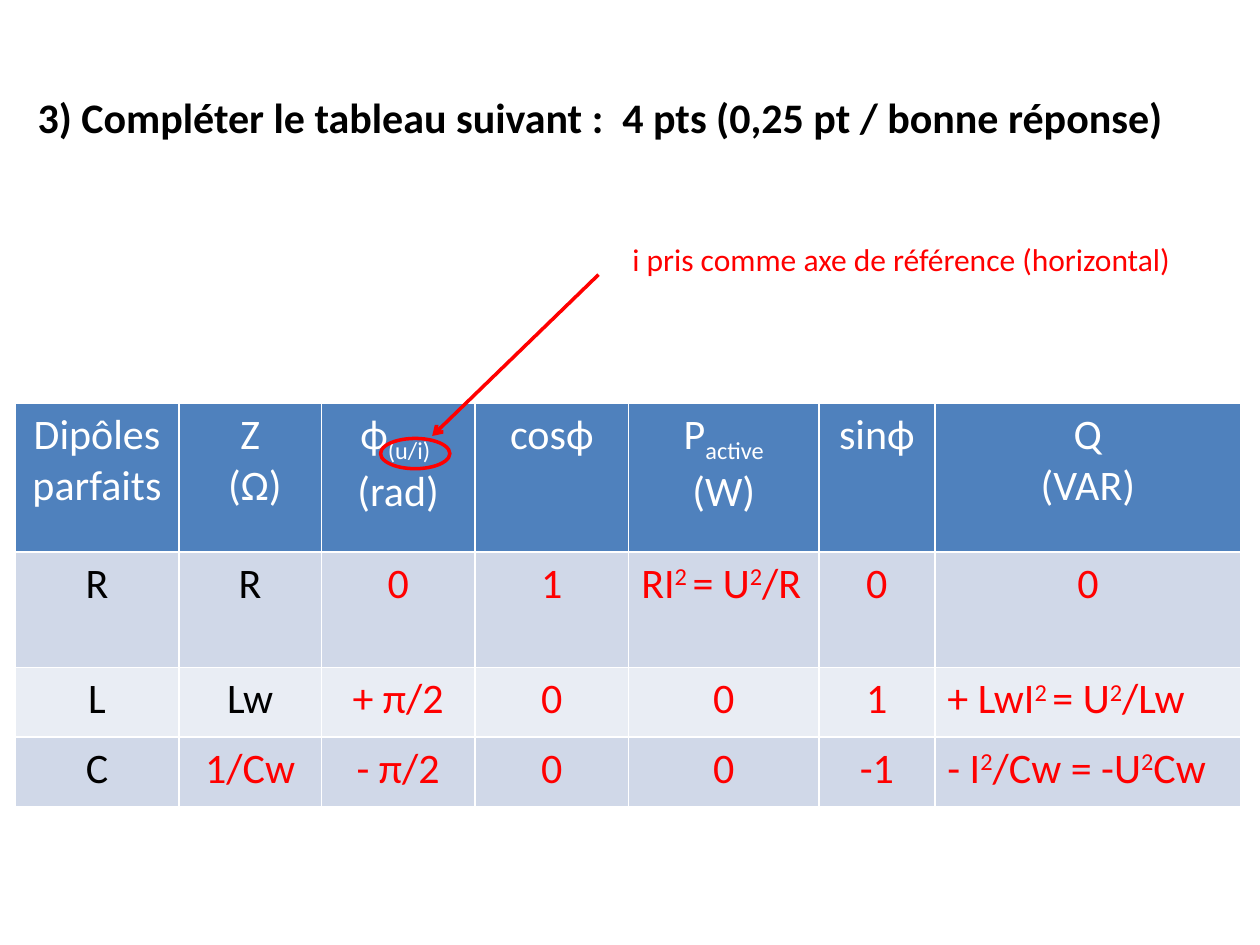
from pptx import Presentation
from pptx.dml.color import RGBColor
from pptx.enum.shapes import MSO_CONNECTOR, MSO_SHAPE
from pptx.enum.text import MSO_AUTO_SIZE, PP_ALIGN
from pptx.oxml.ns import qn
from pptx.util import Inches, Pt
from lxml import etree

LINE = MSO_CONNECTOR.STRAIGHT
OVAL = MSO_SHAPE.OVAL
GROW = MSO_AUTO_SIZE.SHAPE_TO_FIT_TEXT
LEFT, MID = PP_ALIGN.LEFT, PP_ALIGN.CENTER

BLACK = RGBColor(0, 0, 0)
WHITE = RGBColor(255, 255, 255)
RED = RGBColor(255, 0, 0)
BLUE = RGBColor(0x4F, 0x81, 0xBD)
BANDS = [RGBColor(0xE9, 0xED, 0xF4), RGBColor(0xD0, 0xD8, 0xE8)]

FONT = "Calibri"
SHIFT = {"^": "30000", "_": "-25000"}
COLS = [1.3, 1.13, 1.22, 1.22, 1.51, 0.92, 2.43]
ROWS = [1.18, 0.92, 0.55, 0.55]
CELLS = [
    ["Dipôles parfaits", "Z\n (Ω)", "ϕ_(u/i) _\n(rad)", "cosϕ",
     "P_active_\n(W)", "sinϕ", "Q\n(VAR)"],
    ["R", "R", "0", "1", "RI^2 ^= U^2^/R", "0", "0"],
    ["L", "Lw", "+ π/2", "0", "0", "1", "+ LwI^2 ^= U^2^/Lw"],
    ["C", "1/Cw", "- π/2", "0", "0", "-1", "- I^2^/Cw = -U^2^Cw"],
]
GIVEN = {(1, 0), (1, 1), (2, 0), (2, 1), (3, 0)}


def write(para, text, size, color, bold=False, align=LEFT):
    """Fill a paragraph; ^ and _ pairs enclose raised and lowered text."""
    para.alignment = align
    font = para.font
    font.name, font.size, font.bold = FONT, Pt(size), bold
    font.color.rgb = color
    mark = "_" if "_" in text else "^"
    for i, part in enumerate(text.split(mark)):
        if part:
            run = para.add_run()
            run.text = part
            run.font.name, run.font.size, run.font.bold = FONT, Pt(size), bold
            run.font.color.rgb = color
            if i % 2:
                run.font._element.set("baseline", SHIFT[mark])


def add_text(slide, box, text, size, color, bold=False):
    """Add a wrapped text box holding one line."""
    frame = slide.shapes.add_textbox(*map(Inches, box)).text_frame
    frame.word_wrap = True
    frame.auto_size = GROW
    write(frame.paragraphs[0], text, size, color, bold)


def fill_cell(cell, text, row, col):
    """Colour one table cell and write its lines."""
    cell.fill.solid()
    cell.fill.fore_color.rgb = BANDS[row % 2] if row else BLUE
    color = RED if row else WHITE
    if (row, col) in GIVEN:
        color = BLACK
    align = LEFT if "^" in text else MID
    frame = cell.text_frame
    for i, line in enumerate(text.split("\n")):
        para = frame.add_paragraph() if i else frame.paragraphs[0]
        write(para, line, 24, color, align=align)


def add_grid(slide, left, top):
    """Add the table of dipoles."""
    size = map(Inches, (left, top, sum(COLS), sum(ROWS)))
    table = slide.shapes.add_table(len(ROWS), len(COLS), *size).table
    for col, width in zip(table.columns, COLS):
        col.width = Inches(width)
    for row, height in zip(table.rows, ROWS):
        row.height = Inches(height)
    for r, line in enumerate(CELLS):
        for c, text in enumerate(line):
            fill_cell(table.cell(r, c), text, r, c)


def add_arrow(slide, start, end):
    """Add a red line with an open arrowhead at its end."""
    arrow = slide.shapes.add_connector(LINE, *map(Inches, start + end))
    arrow.line.color.rgb = RED
    arrow.line.width = Pt(2)
    pen = arrow.line._get_or_add_ln()
    etree.SubElement(pen, qn("a:tailEnd"), type="arrow")
    etree.SubElement(arrow._element.spPr, qn("a:effectLst"))


def add_ring(slide, box):
    """Add an unfilled red ellipse."""
    ring = slide.shapes.add_shape(OVAL, *map(Inches, box))
    ring.shadow.inherit = False
    ring.fill.background()
    ring.line.color.rgb = RED
    ring.line.width = Pt(2)


def main():
    """Build and save the slide."""
    deck = Presentation()
    deck.slide_width, deck.slide_height = Inches(10), Inches(7.5)
    slide = deck.slides.add_slide(deck.slide_layouts[6])
    title = "3) Compléter le tableau suivant :  4 pts (0,25 pt / bonne réponse)"
    add_text(slide, (0.2, 0.68, 9.8, 0.5), title, 24, BLACK, True)
    add_grid(slide, 0.12, 3.2)
    add_arrow(slide, (4.75, 2.18), (3.43, 3.46))
    add_ring(slide, (3.02, 3.48, 0.55, 0.24))
    note = "i pris comme axe de référence (horizontal)"
    add_text(slide, (4.92, 1.86, 4.49, 0.4), note, 18, RED)
    deck.save("out.pptx")


if __name__ == "__main__":
    main()
